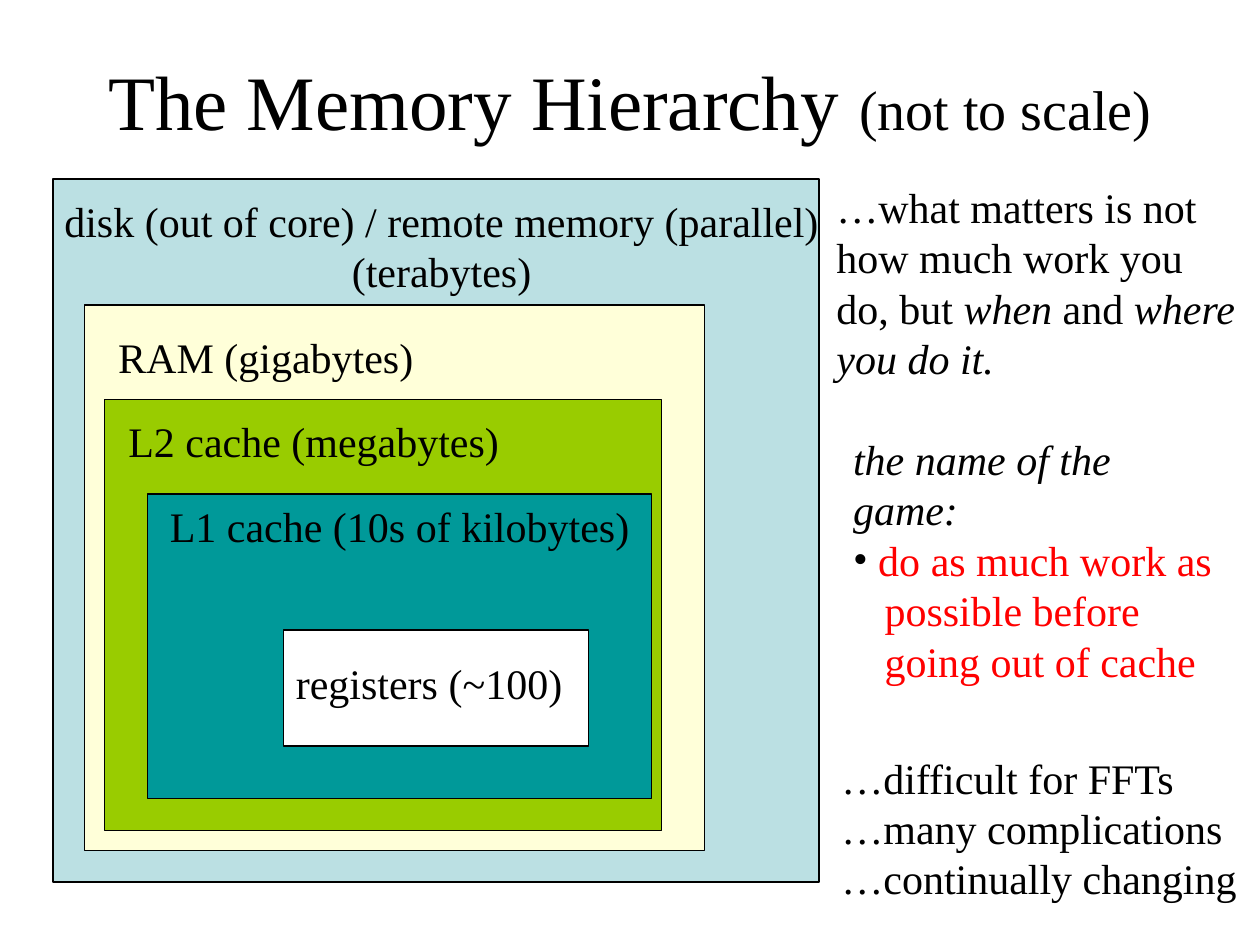
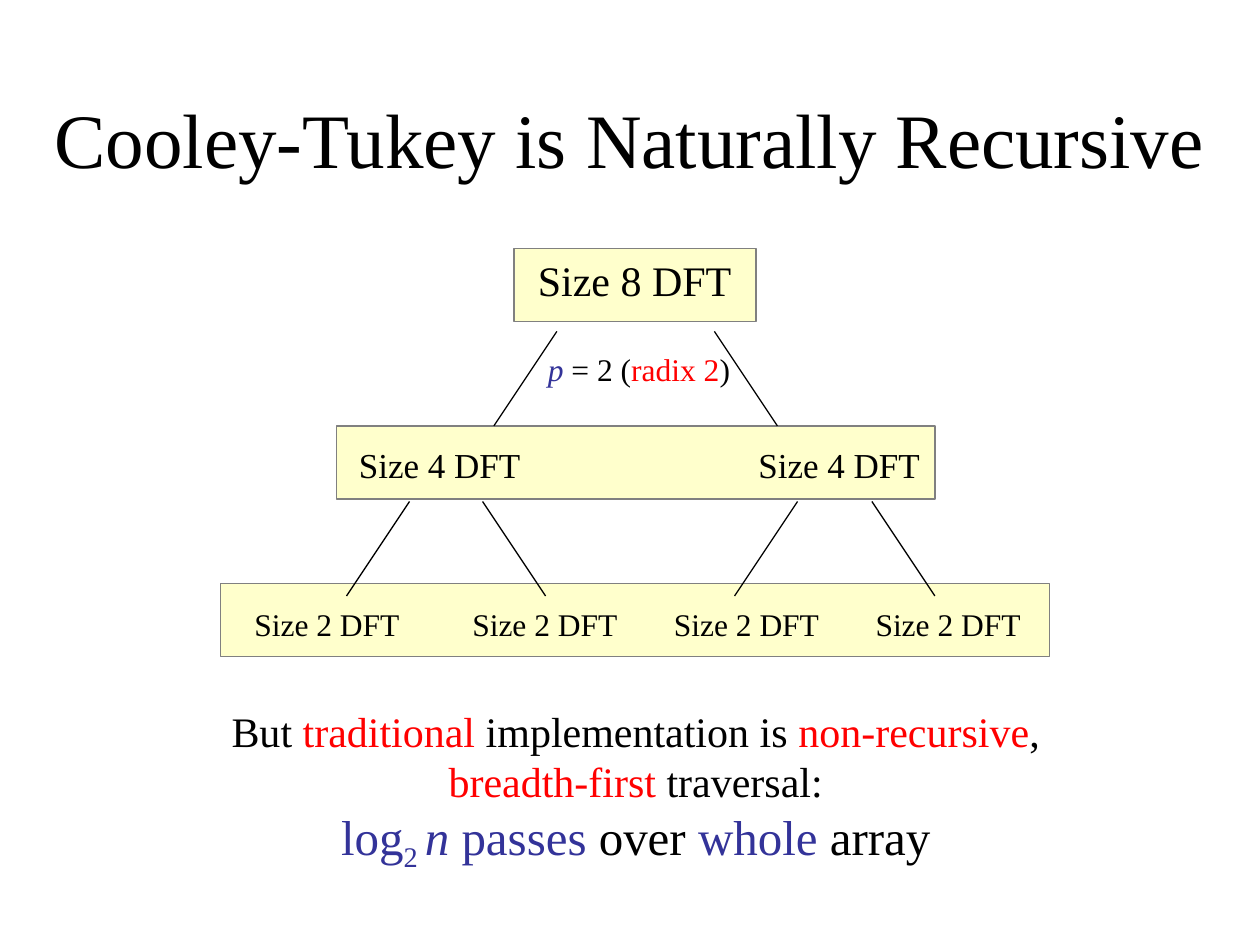
from lxml.etree import SubElement
from pptx import Presentation
from pptx.dml.color import RGBColor
from pptx.enum.shapes import MSO_CONNECTOR, MSO_SHAPE
from pptx.enum.text import MSO_ANCHOR, MSO_AUTO_SIZE, PP_ALIGN
from pptx.oxml.ns import qn
from pptx.util import Inches, Pt

FONT = "Times New Roman"
COLORS = {
    "black": "000000", "red": "FF0000", "navy": "333399", "gray": "808080",
    "disk": "BBE0E3", "ram": "FFFFD9", "l2": "99CC00", "l1": "009999",
    "registers": "FFFFFF", "row": "FFFFCC",
}
RED = {"color": "red"}
NAVY = {"color": "navy"}
ITALIC = {"italic": True}


def rgb(name):
    return RGBColor.from_string(COLORS[name])


def write(tf, paragraphs, size=24, align=PP_ALIGN.LEFT, wrap=False, anchor=MSO_ANCHOR.TOP):
    """Each paragraph is a string or a list of strings and (text, format) pairs."""
    tf.word_wrap = wrap
    tf.auto_size = MSO_AUTO_SIZE.NONE
    tf.vertical_anchor = anchor
    for i, runs in enumerate(paragraphs):
        p = tf.paragraphs[0] if i == 0 else tf.add_paragraph()
        p.alignment = align
        p.space_before = Pt(0)
        for run in [runs] if isinstance(runs, str) else runs:
            text, fmt = (run, {}) if isinstance(run, str) else run
            r = p.add_run()
            r.text = text
            r.font.name = FONT
            r.font.size = Pt(fmt.get("size", size))
            r.font.italic = fmt.get("italic", False)
            r.font.color.rgb = rgb(fmt.get("color", "black"))
            if "baseline" in fmt:
                r._r.get_or_add_rPr().set("baseline", str(fmt["baseline"] * 1000))


def place(sp, box):
    sp.left, sp.top, sp.width, sp.height = [Inches(v) for v in box]


def add_title(s, box, runs):
    place(s.shapes.title, box)
    write(s.shapes.title.text_frame, [runs], size=44, align=PP_ALIGN.CENTER,
          wrap=True, anchor=MSO_ANCHOR.MIDDLE)


def add_text(s, box, paragraphs, **fmt):
    sp = s.shapes.add_textbox(*[Inches(v) for v in box])
    write(sp.text_frame, paragraphs, **fmt)


def add_box(s, box, fill, line="black"):
    sp = s.shapes.add_shape(MSO_SHAPE.RECTANGLE, *[Inches(v) for v in box])
    sp.shadow.inherit = False
    sp.fill.solid()
    sp.fill.fore_color.rgb = rgb(fill)
    sp.line.color.rgb = rgb(line)
    sp.line.width = Pt(0.75)


def add_branch(s, x, y, dx, dy=0.75):
    cxn = s.shapes.add_connector(MSO_CONNECTOR.STRAIGHT, Inches(x), Inches(y),
                                 Inches(x + dx), Inches(y + dy))
    cxn.line.color.rgb = rgb("black")
    cxn.line.width = Pt(0.75)
    SubElement(cxn._element.spPr, qn("a:effectLst"))


def set_indent(p, left, first=0, bullet=None):
    pPr = p._p.get_or_add_pPr()
    pPr.set("marL", str(Inches(left)))
    pPr.set("indent", str(Inches(first)))
    if bullet:
        clr = SubElement(pPr, qn("a:buClr"))
        SubElement(clr, qn("a:srgbClr")).set("val", COLORS["black"])
        SubElement(pPr, qn("a:buFont")).set("typeface", FONT)
        SubElement(pPr, qn("a:buChar")).set("char", bullet)
    else:
        SubElement(pPr, qn("a:buNone"))


# Slide 1: nested memory levels
def memory_levels(s, left, top):
    # fill, box, label offset within the box, label size, label lines, alignment
    levels = [
        ("disk", (0, 0, 6.08, 5.58), (-0.01, 0.08), (6.19, 0.9),
         ["disk (out of core) / remote memory (parallel)", "(terabytes)"], PP_ALIGN.CENTER),
        ("ram", (0.25, 1, 4.92, 4.33), (0.17, 0.16), (2.54, 0.5),
         ["RAM (gigabytes)"], PP_ALIGN.LEFT),
        ("l2", (0.41, 1.75, 4.42, 3.42), (0.09, 0.08), (3.14, 0.5),
         ["L2 cache (megabytes)"], PP_ALIGN.LEFT),
        ("l1", (0.75, 2.5, 4, 2.42), (0.08, 0), (3.84, 0.5),
         ["L1 cache (10s of kilobytes)"], PP_ALIGN.LEFT),
        ("registers", (1.83, 3.58, 2.42, 0.92), (0, 0.17), (2.31, 0.5),
         ["registers (~100)"], PP_ALIGN.LEFT),
    ]
    for fill, (x, y, w, h), (dx, dy), label_size, lines, align in levels:
        x, y = left + x, top + y
        add_box(s, (x, y, w, h), fill)
        add_text(s, (x + dx, y + dy, *label_size), lines, align=align)


def game_list(sp, box):
    place(sp, box)
    tf = sp.text_frame
    write(tf, [[("the name of the game:", ITALIC)], [("do as much work as", RED)],
               [("possible before", RED)], [("going out of cache", RED)]])
    heading, first, *rest = tf.paragraphs
    set_indent(heading, 0)
    set_indent(first, 0.2, -0.2, "•")
    for p in rest:
        set_indent(p, 0.25)


def memory_slide(prs):
    s = prs.slides.add_slide(prs.slide_layouts[1])
    add_title(s, (0.75, 0.25, 8.5, 1.08),
              ["The Memory Hierarchy ", ("(not to scale)", {"size": 32})])
    memory_levels(s, 0.42, 1.42)
    # Remarks to the right of the levels
    game_list(s.placeholders[1], (6.67, 3.39, 3.16, 1.7))
    add_text(s, (6.54, 1.39, 3.37, 1.7), [
        "…what matters is not", "how much work you",
        ["do, but ", ("when", ITALIC), " and ", ("where", ITALIC)],
        [("you do it.", ITALIC)]])
    add_text(s, (6.58, 5.92, 3.34, 1.3),
             ["…difficult for FFTs", "…many complications", "…continually changing"])


# Slide 2: recursion tree
def recursion_tree(s, left, top):
    # row x, y and width; transform size, font size, label y, label box, label x
    rows = [
        (2.33, 0, 1.92, 8, 24, 0, (1.73, 0.5), [2.42]),
        (0.92, 1.41, 4.75, 4, 20, 0.09, (1.48, 0.44), [1, 4.17]),
        (0, 2.66, 6.58, 2, 18, 0.12, (1.35, 0.4), [0.17, 1.9, 3.5, 5.1]),
    ]
    for x, y, w, n, size, dy, label_size, label_xs in rows:
        add_box(s, (left + x, top + y, w, 0.58), "row", "gray")
        for label_x in label_xs:
            add_text(s, (left + label_x, top + y + dy, *label_size),
                     [f"Size {n} DFT"], size=size)
    # Each parent sends one branch left and one right
    for x, y, gap in [(2.67, 0.66, 1.25), (1.5, 2.01, 0.58), (4.58, 2.01, 0.59)]:
        add_branch(s, left + x, top + y, -0.5)
        add_branch(s, left + x + gap, top + y, 0.5)
    add_text(s, (left + 2.5, top + 0.76, 1.64, 0.4),
             [[("p", {**NAVY, **ITALIC}), " = 2 (", ("radix 2", RED), ")"]], size=18)


def recursion_slide(prs):
    s = prs.slides.add_slide(prs.slide_layouts[5])
    add_title(s, (0.33, 0.47, 9.34, 1.25), ["Cooley-Tukey is Naturally Recursive"])
    recursion_tree(s, 1.75, 1.97)
    # Conclusion
    big = {"size": 28}
    big_navy = {**big, **NAVY}
    add_text(s, (1.74, 5.55, 6.61, 1.43), [
        ["But", (" traditional", RED), " implementation is ", ("non-recursive", RED), ","],
        [("breadth-first", RED), " traversal:"],
        [("log", big_navy), ("2 ", {**big_navy, "baseline": -25}),
         ("n", {**big_navy, **ITALIC}), (" passes", big_navy), (" over ", big),
         ("whole", big_navy), (" array", big)],
    ], align=PP_ALIGN.CENTER)


def main():
    prs = Presentation()
    prs.slide_width, prs.slide_height = Inches(10), Inches(7.5)
    memory_slide(prs)
    recursion_slide(prs)
    prs.save("out.pptx")


if __name__ == "__main__":
    main()
